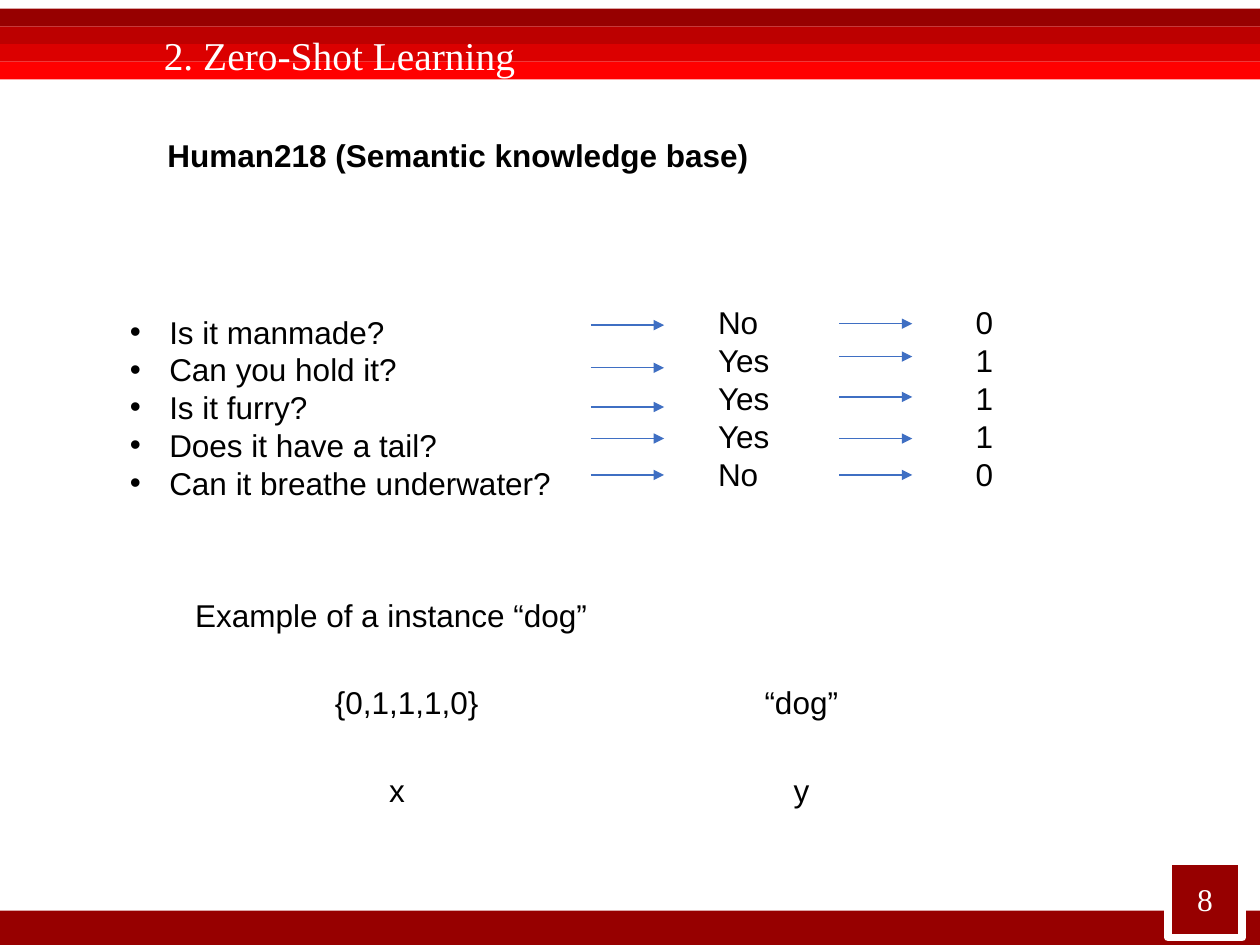
from dataclasses import dataclass

from lxml.etree import SubElement
from pptx import Presentation
from pptx.dml.color import RGBColor
from pptx.enum.shapes import MSO_CONNECTOR, MSO_SHAPE
from pptx.enum.text import MSO_ANCHOR, MSO_AUTO_SIZE, PP_ALIGN
from pptx.oxml.ns import qn
from pptx.util import Pt


@dataclass
class Theme:
    bands: tuple = ("970000", "BC0000", "DB0000", "FF0000")
    dark: str = "970000"
    white: str = "FFFFFF"
    text: str = "000000"
    arrow: str = "3F6FC3"
    title_font: str = "Times New Roman"
    body_font: str = "Arial"
    title_size: float = 22.5
    body_size: float = 18
    line_pitch: float = 21.6


THEME = Theme()
TITLE = "2. Zero-Shot Learning"
PAGE = "8"
QUESTIONS = [
    ("Is it manmade?", "No", 0),
    ("Can you hold it?", "Yes", 1),
    ("Is it furry?", "Yes", 1),
    ("Does it have a tail?", "Yes", 1),
    ("Can it breathe underwater?", "No", 0),
]
LABELS = [
    ("Human218 (Semantic knowledge base)", 88.6, 74.2, 500, True),
    ("Example of a instance “dog”", 104.4, 337, 319, False),
    ("{0,1,1,1,0}", 184.3, 386.6, 240, False),
    ("“dog”", 429.8, 386.6, 132, False),
    ("x", 215.3, 437, 127, False),
    ("y", 446.4, 437, 127, False),
]
ARROW_LENGTH = 41.8
ARROWS = {
    337.7: (185.8, 210.2, 232.6, 250.6, 271.4),
    479.5: (185, 203.8, 226.8, 250.6, 271.4),
}
WIDTH, HEIGHT = 720, 540


def place(shape, left, top, width, height):
    shape.left, shape.top = Pt(left), Pt(top)
    shape.width, shape.height = Pt(width), Pt(height)


def style(frame, font, size, color, bold=False):
    for paragraph in frame.paragraphs:
        for run in paragraph.runs:
            run.font.name = font
            run.font.size = Pt(size)
            run.font.bold = bold
            run.font.color.rgb = RGBColor.from_string(color)


def add_bar(slide, left, top, width, height, color):
    bar = slide.shapes.add_shape(
        MSO_SHAPE.RECTANGLE, Pt(left), Pt(top), Pt(width), Pt(height))
    bar.shadow.inherit = False
    bar.fill.solid()
    bar.fill.fore_color.rgb = RGBColor.from_string(color)
    bar.line.fill.background()
    return bar


def add_text(slide, text, left, top, width, height, bold=False):
    box = slide.shapes.add_textbox(Pt(left), Pt(top), Pt(width), Pt(height))
    box.text_frame.word_wrap = True
    box.text_frame.text = text
    style(box.text_frame, THEME.body_font, THEME.body_size, THEME.text, bold)
    return box


def add_arrow(slide, left, y):
    arrow = slide.shapes.add_connector(
        MSO_CONNECTOR.STRAIGHT, Pt(left), Pt(y), Pt(left + ARROW_LENGTH), Pt(y))
    arrow.line.color.rgb = RGBColor.from_string(THEME.arrow)
    arrow.line.width = Pt(0.75)
    SubElement(arrow.line._get_or_add_ln(), qn("a:tailEnd"), type="triangle")
    SubElement(arrow.element.spPr, qn("a:effectLst"))


def fill_title(title):
    place(title, 51.8, 11.3, 510, 40)
    frame = title.text_frame
    frame.text = TITLE
    frame.auto_size = MSO_AUTO_SIZE.NONE
    frame.vertical_anchor = MSO_ANCHOR.MIDDLE
    frame.margin_left = Pt(41.8)
    frame.margin_top = frame.margin_bottom = Pt(2.9)
    frame.paragraphs[0].alignment = PP_ALIGN.LEFT
    style(frame, THEME.title_font, THEME.title_size, THEME.white)
    title.element.getparent().append(title.element)


def fill_questions(body):
    place(body, 67, 175, 312.5, 116.6)
    frame = body.text_frame
    frame.text = "\n".join(question for question, _, _ in QUESTIONS)
    frame.auto_size = MSO_AUTO_SIZE.NONE
    for paragraph in frame.paragraphs:
        paragraph.space_before = Pt(0)
        paragraph.line_spacing = Pt(THEME.line_pitch)
        properties = paragraph._p.get_or_add_pPr()
        properties.set("marL", str(Pt(22.5)))
        properties.set("indent", str(-Pt(22.5)))
        SubElement(properties, qn("a:buFont"), typeface=THEME.body_font)
        SubElement(properties, qn("a:buChar"), char="•")
    style(frame, THEME.body_font, THEME.body_size, THEME.text)


def add_answers(slide):
    lines = "\n".join(f"{answer}\t{value}" for _, answer, value in QUESTIONS)
    answers = add_text(slide, lines, 403.2, 169.9, 251, 138)
    for paragraph in answers.text_frame.paragraphs:
        paragraph.line_spacing = Pt(THEME.line_pitch)
        tabs = SubElement(paragraph._p.get_or_add_pPr(), qn("a:tabLst"))
        SubElement(tabs, qn("a:tab"), pos=str(Pt(147.2)), algn="l")


def add_page_number(slide):
    page = add_bar(slide, 667.4, 491.8, 42.5, 43.9, THEME.dark)
    page.line.color.rgb = RGBColor.from_string(THEME.white)
    page.line.width = Pt(4.5)
    frame = page.text_frame
    frame.text = PAGE
    frame.vertical_anchor = MSO_ANCHOR.MIDDLE
    frame.paragraphs[0].alignment = PP_ALIGN.CENTER
    style(frame, THEME.title_font, THEME.body_size, THEME.white)


def main():
    deck = Presentation()
    deck.slide_width, deck.slide_height = Pt(WIDTH), Pt(HEIGHT)
    slide = deck.slides.add_slide(deck.slide_layouts[1])

    band_height = 10.1
    for row, color in enumerate(THEME.bands):
        add_bar(slide, 0, 5 + row * band_height, WIDTH, band_height, color)
    add_bar(slide, 0, 520.3, WIDTH, HEIGHT - 520.3, THEME.dark)
    add_page_number(slide)

    fill_title(slide.shapes.title)
    fill_questions(slide.placeholders[1])
    add_answers(slide)
    for left, heights in ARROWS.items():
        for y in heights:
            add_arrow(slide, left, y)
    for text, left, top, width, bold in LABELS:
        add_text(slide, text, left, top, width, 28.8, bold)

    deck.save("out.pptx")


if __name__ == "__main__":
    main()
